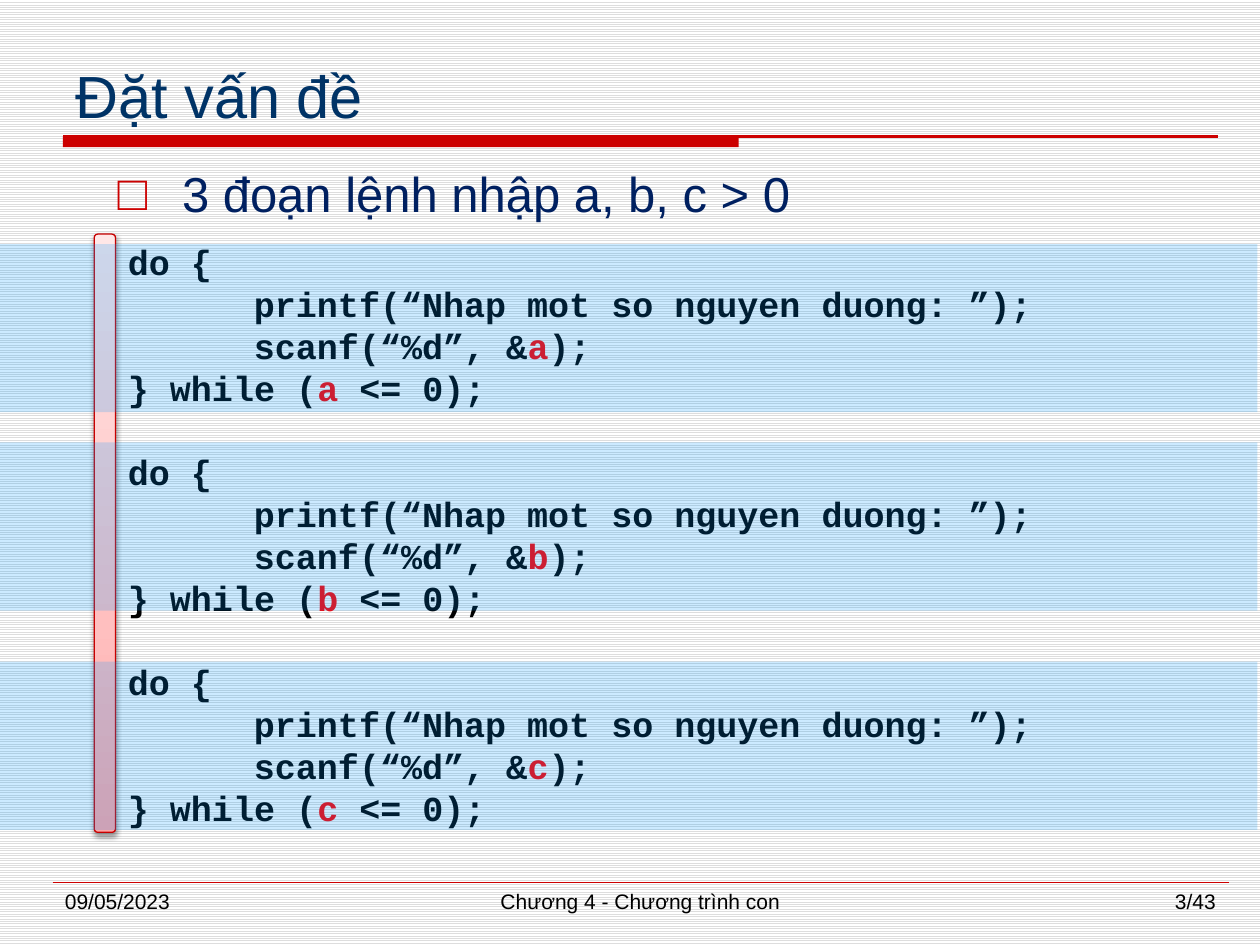
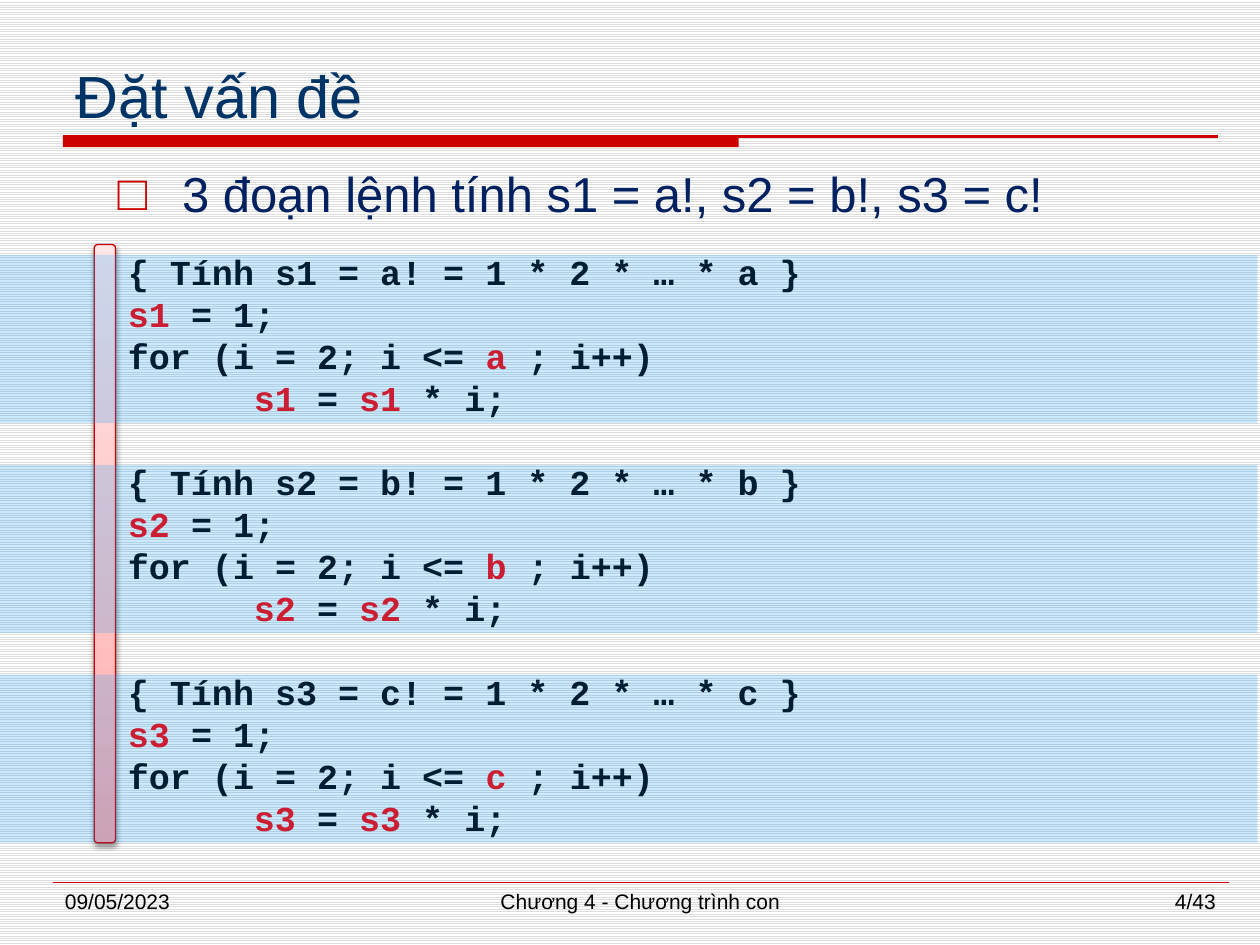
from pptx import Presentation, oxml, util as u
from pptx.dml.color import RGBColor
from pptx.enum import dml, shapes, text
from pptx.oxml.ns import qn
from lxml import etree

Cm, Pt = u.Cm, u.Pt
NS = 'xmlns:a="http://schemas.openxmlformats.org/drawingml/2006/main"'
ALIGN = text.PP_ALIGN
HUES = {
    "red": "CC0000", "edge": "C80000", "title": "003366", "point": "002060",
    "ink": "000000", "mark": "FF0000", "band": "0099FF",
    "paper": "FFFFFF", "stripe": "DDDDDD",
}
FADE = [(0, "FFA5A5"), (35, "FFBFBF"), (100, "FFE7E7")]
VARS = "abc"


def hue(name):
    return RGBColor.from_string(HUES[name])


class Deck:
    def __init__(self):
        self.prs = Presentation()
        self.prs.slide_width, self.prs.slide_height = Cm(25.4), Cm(19.05)
        fill = self.prs.slide_master.background.fill
        fill.patterned()
        fill.pattern = dml.MSO_PATTERN.LIGHT_HORIZONTAL
        fill.fore_color.rgb, fill.back_color.rgb = hue("stripe"), hue("paper")
        self.slide = None

    def add(self, title, page):
        """Start a slide with its title, rules and footer."""
        self.slide = self.prs.slides.add_slide(self.prs.slide_layouts[5])
        self.shape(1.27, 2.75, 13.62, 0.22, "red")
        self.line(1.27, 24.55, 2.75, 1.5)
        self.line(1.06, 24.77, 17.78, 0.25)
        head = self.slide.shapes.title
        head.left, head.top = Cm(1.27), Cm(0.85)
        head.width, head.height = Cm(23.28), Cm(1.9)
        frame = head.text_frame
        frame.word_wrap = True
        frame.auto_size = text.MSO_AUTO_SIZE.NONE
        frame.vertical_anchor = text.MSO_ANCHOR.BOTTOM
        para = frame.paragraphs[0]
        para.alignment = ALIGN.LEFT
        self.run(para, title, 34, "title")
        feet = [
            (1.06, 5.5, "09/05/2023", ALIGN.LEFT),
            (7.41, 11, "Chương 4 - Chương trình con", ALIGN.CENTER),
            (19.26, 5.5, f"{page}/43", ALIGN.RIGHT),
        ]
        for x, wide, words, align in feet:
            para = self.box(x, 17.78, wide, 0.88).paragraphs[0]
            para.alignment = align
            self.run(para, words, 12, "ink")

    def run(self, para, words, size, color, face="Arial", bold=False):
        run = para.add_run()
        run.text = words
        font = run.font
        font.name, font.size, font.bold = face, Pt(size), bold
        font.color.rgb = hue(color)

    def box(self, x, y, wide, high):
        frame = self.slide.shapes.add_textbox(
            Cm(x), Cm(y), Cm(wide), Cm(high)).text_frame
        frame.word_wrap = True
        return frame

    def line(self, start, end, y, width):
        line = self.slide.shapes.add_connector(
            shapes.MSO_CONNECTOR.STRAIGHT, Cm(start), Cm(y), Cm(end), Cm(y))
        line.line.color.rgb = hue("red")
        line.line.width = Pt(width)
        etree.SubElement(line._element.spPr, qn("a:effectLst"))

    def shape(self, x, y, wide, high, color, kind="RECTANGLE"):
        item = self.slide.shapes.add_shape(
            shapes.MSO_SHAPE[kind], Cm(x), Cm(y), Cm(wide), Cm(high))
        item.shadow.inherit = False
        item.fill.solid()
        item.fill.fore_color.rgb = hue(color)
        item.line.fill.background()
        return item

    def band(self, y):
        item = self.shape(0, y, 25.35, 3.39, "band")
        color = item._element.spPr.find(".//" + qn("a:srgbClr"))
        etree.SubElement(color, qn("a:alpha"), val="20000")

    def bar(self, y):
        """Draw the tall fading bar with its soft shadow."""
        item = self.shape(1.9, y, 0.43, 12.06, "red", "ROUNDED_RECTANGLE")
        item.line.color.rgb = hue("edge")
        item.line.width = Pt(0.75)
        props = item._element.spPr
        stops = "".join(
            f'<a:gs pos="{pos * 1000}"><a:srgbClr val="{val}"/></a:gs>'
            for pos, val in FADE)
        props.replace(props.find(qn("a:solidFill")), oxml.parse_xml(
            f'<a:gradFill {NS} rotWithShape="1"><a:gsLst>{stops}</a:gsLst>'
            '<a:lin ang="16200000" scaled="0"/></a:gradFill>'))
        props.find(qn("a:effectLst")).append(oxml.parse_xml(
            f'<a:outerShdw {NS} blurRad="{Pt(3.1)}" dist="{Pt(1.6)}" '
            f'dir="5400000" rotWithShape="0"><a:srgbClr val="{HUES["ink"]}">'
            '<a:alpha val="38000"/></a:srgbClr></a:outerShdw>'))

    def point(self, words):
        para = self.box(2.12, 3.18, 22.01, 1.5).paragraphs[0]
        para.alignment = ALIGN.JUSTIFY
        props = para._p.get_or_add_pPr()
        props.set("marL", str(Cm(1.3)))
        props.set("indent", str(-Cm(1.3)))
        color = etree.SubElement(props, qn("a:buClr"))
        etree.SubElement(color, qn("a:srgbClr"), val=HUES["red"])
        etree.SubElement(props, qn("a:buFont"), typeface="Arial")
        etree.SubElement(props, qn("a:buChar"), char="□")
        self.run(para, words, 28, "point")

    def tab(self, para, pos):
        tabs = etree.SubElement(para._p.get_or_add_pPr(), qn("a:tabLst"))
        etree.SubElement(tabs, qn("a:tab"), pos=str(Cm(pos)), algn="l")

    def code(self, y, blocks):
        """Write code blocks; text between a pair of bars is marked."""
        frame = self.box(2.33, y, 19.47, 12.21)
        para = frame.paragraphs[0]
        for num, block in enumerate(blocks):
            for row, line in enumerate(block):
                if num or row:
                    para = frame.add_paragraph()
                self.tab(para, 2.54)
                para.line_spacing = Pt(24)
                if num and not row:
                    para.space_before = Pt(24)
                for part, words in enumerate(line.split("|")):
                    if words:
                        color = "mark" if part % 2 else "ink"
                        self.run(para, words, 20, color, "Courier New", True)

    def lesson(self, page, words, y, blocks, tops):
        self.add("Đặt vấn đề", page)
        self.point(words)
        self.bar(y)
        self.code(y, blocks)
        for top in tops:
            self.band(top)


def ask(var):
    return [
        "do {",
        "\tprintf(“Nhap mot so nguyen duong: ”);",
        f"\tscanf(“%d”, &|{var}|);",
        f"}} while (|{var}| <= 0);",
    ]


def fact(num, var):
    out = f"s{num}"
    return [
        f"{{ Tính {out} = {var}! = 1 * 2 * … * {var} }}",
        f"|{out}| = 1;",
        f"for (i = 2; i <= |{var} |; i++)",
        f"\t|{out}| = |{out}| * i;",
    ]


def main():
    deck = Deck()
    deck.lesson(3, "3 đoạn lệnh nhập a, b, c > 0", 4.72,
                [ask(var) for var in VARS], [4.92, 8.92, 13.34])
    deck.lesson(4, "3 đoạn lệnh tính s1 = a!, s2 = b!, s3 = c!", 4.93,
                [fact(num, var) for num, var in enumerate(VARS, 1)],
                [5.14 + 4.23 * num for num in range(3)])
    deck.prs.save("out.pptx")


if __name__ == "__main__":
    main()
